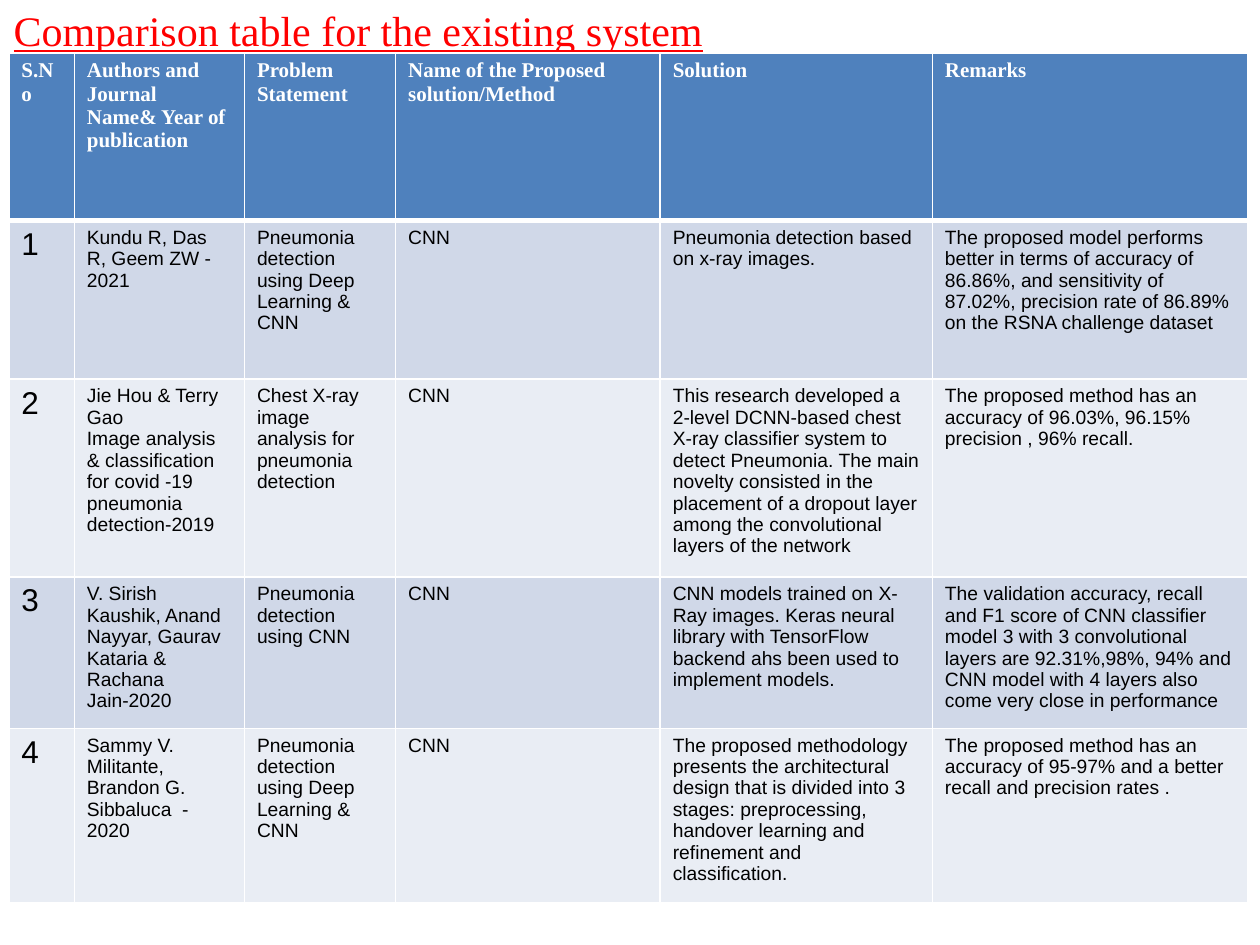
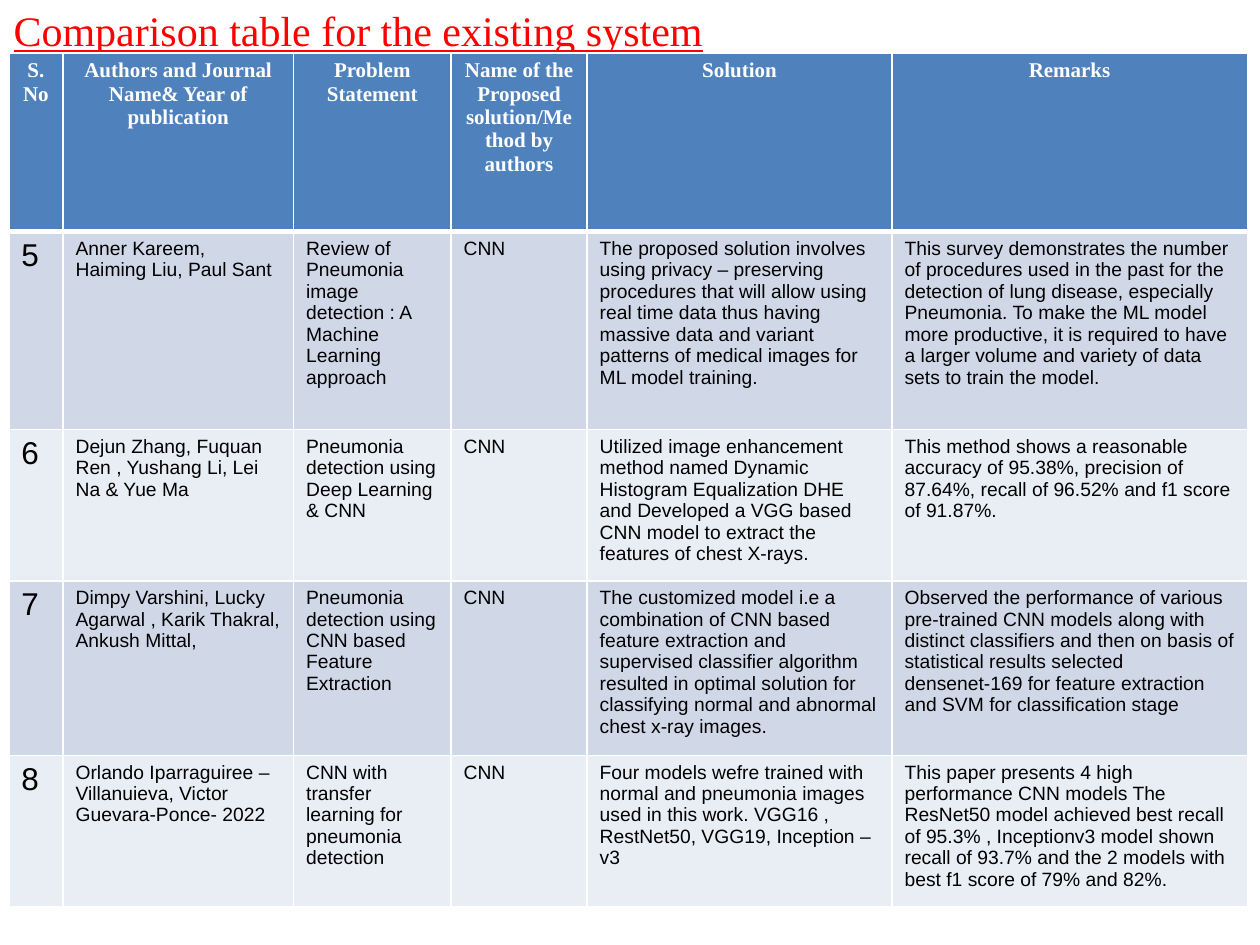
from lxml import etree
from pptx import Presentation
from pptx.dml.color import RGBColor
from pptx.enum.text import MSO_AUTO_SIZE, PP_ALIGN
from pptx.oxml.ns import qn
from pptx.util import Emu, Pt

GROW = MSO_AUTO_SIZE.SHAPE_TO_FIT_TEXT
LEFT, MID = PP_ALIGN.LEFT, PP_ALIGN.CENTER
SCALE = 9144
HUES = {"red": "FF0000", "white": "FFFFFF", "black": "000000",
        "head": "4F81BD", "odd": "D0D8E8", "even": "E9EDF4"}
SERIF, SANS = "Times New Roman", "Arial"
FORMS = {
    "title": {"name": SERIF, "size": Pt(24), "underline": True, "hue": "red"},
    "head": {"name": SERIF, "size": Pt(12), "bold": True, "hue": "white"},
    "num": {"name": SANS, "size": Pt(18), "bold": False, "hue": "black"},
    "body": {"name": SANS, "size": Pt(11), "bold": False, "hue": "black"},
}
TITLE = "Comparison table for the existing system"
AUTHORS = "Authors and Journal Name& Year of publication"
DEEP = "Pneumonia detection using Deep Learning & CNN"

PAGES = [
    {"align": LEFT,
     "cols": [52, 135, 120, 210, 216, 250],
     "rows": [133, 126, 157, 120, 138],
     "method": "Name of the Proposed solution/Method",
     "papers": [
         ("Kundu R, Das R, Geem ZW - 2021", DEEP,
          "Pneumonia detection based on x-ray images.",
          "The proposed model performs better in terms of accuracy of 86.86%, "
          "and sensitivity of 87.02%, precision rate of 86.89% on the RSNA "
          "challenge dataset"),
         ("Jie Hou & Terry Gao\nImage analysis & classification for covid -19 "
          "pneumonia detection-2019",
          "Chest X-ray image analysis for pneumonia detection",
          "This research developed a 2-level DCNN-based chest X-ray classifier "
          "system to detect Pneumonia. The main novelty consisted in the "
          "placement of a dropout layer among the convolutional layers of the "
          "network",
          "The proposed method has an accuracy of 96.03%, 96.15% precision , "
          "96% recall."),
         ("V. Sirish Kaushik, Anand Nayyar, Gaurav Kataria & Rachana Jain-2020",
          "Pneumonia detection using CNN",
          "CNN models trained on X-Ray images. Keras neural library with "
          "TensorFlow backend ahs been used to implement models.",
          "The validation accuracy, recall and F1 score of CNN classifier "
          "model 3 with 3 convolutional layers are 92.31%,98%, 94% and CNN "
          "model with 4 layers also come very close in performance"),
         ("Sammy V. Militante, Brandon G. Sibbaluca  - 2020", DEEP,
          "The proposed methodology presents the architectural design that is "
          "divided into 3 stages: preprocessing, handover learning and "
          "refinement and classification.",
          "The proposed method has an accuracy of 95-97% and a better recall "
          "and precision rates ."),
     ]},
    {"align": MID,
     "cols": [43, 183, 125, 108, 242, 282],
     "rows": [142, 157, 120, 138, 120],
     "method": "Name of the Proposed solution/Method by authors",
     "papers": [
         ("Anner Kareem, Haiming Liu, Paul Sant",
          "Review of Pneumonia image detection : A Machine Learning approach",
          "The proposed solution involves using privacy – preserving "
          "procedures that will allow using real time data thus having massive "
          "data and variant patterns of medical images for ML model training.",
          "This survey demonstrates the number of procedures used in the past "
          "for the detection of lung disease, especially Pneumonia. To make "
          "the ML model more productive, it is required to have a larger "
          "volume and variety of data sets to train the model."),
         ("Dejun Zhang, Fuquan Ren , Yushang Li, Lei Na & Yue Ma", DEEP,
          "Utilized image enhancement method named Dynamic Histogram "
          "Equalization DHE and Developed a VGG based CNN model to extract the "
          "features of chest X-rays.",
          "This method shows a reasonable accuracy of 95.38%, precision of "
          "87.64%, recall of 96.52% and f1 score of 91.87%."),
         ("Dimpy Varshini, Lucky Agarwal , Karik Thakral, Ankush Mittal,",
          "Pneumonia detection using CNN based Feature Extraction",
          "The customized model i.e a combination of CNN based feature "
          "extraction and supervised classifier algorithm resulted in optimal "
          "solution for classifying normal and abnormal chest x-ray images.",
          "Observed the performance of various pre-trained CNN models along "
          "with distinct classifiers and then on basis of statistical results "
          "selected densenet-169 for feature extraction and SVM for "
          "classification stage"),
         ("Orlando Iparraguiree – Villanuieva, Victor Guevara-Ponce- 2022",
          "CNN with transfer learning for pneumonia detection",
          "Four models wefre trained with normal and pneumonia images used in "
          "this work. VGG16 , RestNet50, VGG19, Inception –v3",
          "This paper presents 4 high performance CNN models The ResNet50 "
          "model achieved best recall of 95.3% , Inceptionv3 model shown "
          "recall of 93.7% and the 2 models with best f1 score of 79% and "
          "82%."),
     ]},
]


def px(num):
    return Emu(num * SCALE)


class Deck:
    """Holds the shared style and the current slide."""

    def __init__(self):
        self.file = Presentation()
        self.file.slide_width, self.file.slide_height = px(1000), px(750)
        self.slide = None

    def page(self):
        self.slide = self.file.slides.add_slide(self.file.slide_layouts[6])

    def label(self, frame, text, form, align=LEFT):
        frame.text = text
        for para in frame.paragraphs:
            para.alignment = align
            for run in para.runs:
                for key, val in FORMS[form].items():
                    if key == "hue":
                        run.font.color.rgb = RGBColor.from_string(HUES[val])
                    else:
                        setattr(run.font, key, val)

    def title(self, text):
        frame = self.slide.shapes.add_textbox(*map(px, (1, -1, 983, 50))).text_frame
        frame.word_wrap, frame.auto_size = True, GROW
        self.label(frame, text, "title")

    def edge(self, cell, sides):
        props = cell._tc.get_or_add_tcPr()
        for spot, (side, wide) in enumerate(sides.items()):
            line = etree.Element(qn(f"a:ln{side}"), w=str(Pt(wide)))
            fill = etree.SubElement(line, qn("a:solidFill"))
            etree.SubElement(fill, qn("a:srgbClr"), val=HUES["white"])
            props.insert(spot, line)

    def table(self, data, cols, rows, align):
        box = map(px, (7, 42, sum(cols), sum(rows)))
        grid = self.slide.shapes.add_table(len(rows), len(cols), *box).table
        for col, wide in zip(grid.columns, cols):
            col.width = px(wide)
        for row, high in zip(grid.rows, rows):
            row.height = px(high)
        for r, line in enumerate(data):
            hue = "head" if r == 0 else "odd" if r % 2 else "even"
            for c, text in enumerate(line):
                cell = grid.cell(r, c)
                form = "head" if r == 0 else "body" if c else "num"
                self.label(cell.text_frame, text, form, LEFT if r else align)
                cell.fill.solid()
                cell.fill.fore_color.rgb = RGBColor.from_string(HUES[hue])
                self.edge(cell, {"L": 1, "R": 1, "T": 3 if r == 1 else 1,
                                 "B": 1 if r else 3})


def main():
    deck, first = Deck(), 1
    for page in PAGES:
        deck.page()
        deck.title(TITLE)
        data = [("S.No", AUTHORS, "Problem Statement", page["method"],
                 "Solution", "Remarks")]
        for num, (who, what, how, note) in enumerate(page["papers"], first):
            data.append((str(num), who, what, "CNN", how, note))
        first += len(page["papers"])
        deck.table(data, page["cols"], page["rows"], page["align"])
    deck.file.save("out.pptx")


if __name__ == "__main__":
    main()
